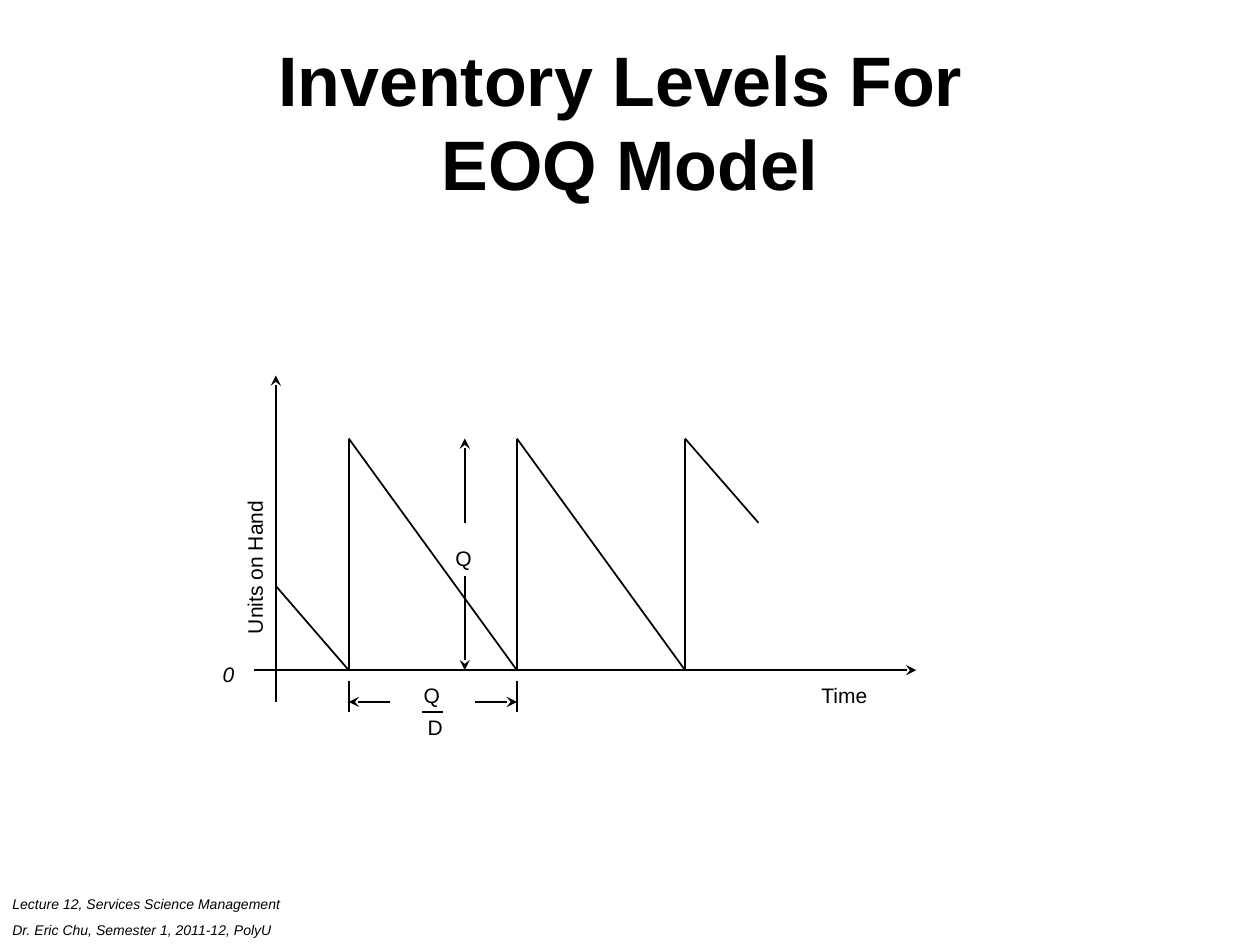
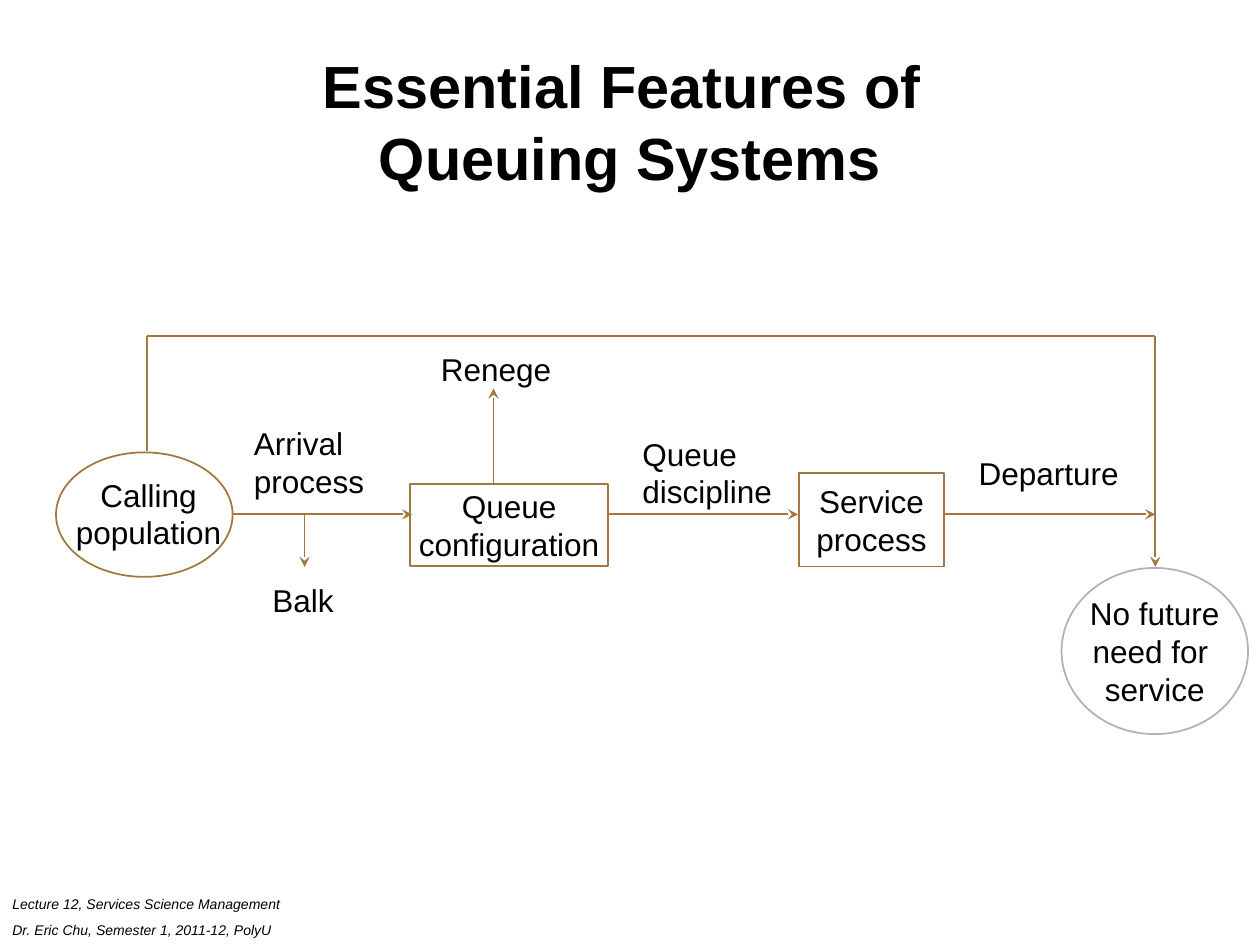
from itertools import pairwise

from lxml.etree import SubElement
from pptx import Presentation
from pptx.dml.color import RGBColor
from pptx.enum.shapes import MSO_CONNECTOR, MSO_SHAPE
from pptx.enum.text import MSO_ANCHOR, MSO_AUTO_SIZE, PP_ALIGN
from pptx.oxml.ns import qn
from pptx.util import Cm, Pt

BLACK = RGBColor(0x00, 0x00, 0x00)
BRONZE = RGBColor(0xA2, 0x78, 0x40)
GREY = RGBColor(0xB2, 0xB2, 0xB2)
FONT = "Arial"

# Shared content; all places and sizes are in cm
FOOTER = ["Lecture 12, Services Science Management",
          "Dr. Eric Chu, Semester 1, 2011-12, PolyU"]
TITLE_BOX = (1.27, 0.84, 22.86, 3.18)
FOOTER_BOX = (0, 17.93, 6.55, 1.12)

# Inventory slide: title lines, scales of the sawtooth, labels
INVENTORY_TITLE = ["Inventory Levels For ", "EOQ Model"]
STOCK_AXIS, TIME_AXIS = 5.56, 13.51
PEAK = 8.84
FIRST_ORDER, CYCLE = 7.03, 3.39
PART_TIME, PART_DROP = 1.48, 1.7
QUANTITY_X = 9.37
SPAN_Y, SPAN_ARROW = 14.15, 0.84
INVENTORY_LABELS = [
    ("Q", 8.93, 10.87, 0.83),
    ("Q", 8.29, 13.64, 0.83),
    ("D", 8.37, 14.27, 0.82),
    ("Time", 16.31, 13.64, 1.45),
]

# Queuing slide: title lines, nodes, labels, flows
QUEUING_TITLE = ["Essential Features of ", "Queuing Systems"]
FLOW_Y, LOOP_Y, EXIT_X, EXIT_Y = 10.37, 6.78, 23.29, 11.43
NODES = [
    (MSO_SHAPE.RECTANGLE, ["Queue", "configuration"], (8.27, 9.76, 3.99, 1.65), BRONZE),
    (MSO_SHAPE.RECTANGLE, ["Service", "process"], (16.11, 9.54, 2.92, 1.88), BRONZE),
    (MSO_SHAPE.OVAL, [], (1.13, 9.12, 3.56, 2.51), BRONZE),
    (MSO_SHAPE.OVAL, ["No future", "need for ", "service"],
     (21.4, 11.45, 3.76, 3.35), GREY),
]
QUEUING_LABELS = [
    (["Departure"], (19.48, 8.89, 3.6, 1.27), PP_ALIGN.LEFT),
    (["Queue", "discipline"], (12.7, 8.89, 3.6, 1.27), PP_ALIGN.LEFT),
    (["Arrival", "process"], (4.87, 8.68, 3.6, 1.27), PP_ALIGN.LEFT),
    (["Renege"], (8.64, 6.92, 2.74, 1.02), PP_ALIGN.LEFT),
    (["Balk"], (5.24, 11.58, 1.75, 1.02), PP_ALIGN.LEFT),
    (["Calling", "population"], (1.27, 9.46, 3.45, 1.78), PP_ALIGN.CENTER),
]
FLOWS = [
    ((4.7, FLOW_Y), (8.31, FLOW_Y)),
    ((6.14, FLOW_Y), (6.14, EXIT_Y)),
    ((12.27, FLOW_Y), (16.09, FLOW_Y)),
    ((9.95, 9.73), (9.95, 7.83)),
    ((19.05, FLOW_Y), (EXIT_X, FLOW_Y)),
]
LOOP = [(2.97, 9.09), (2.97, LOOP_Y), (EXIT_X, LOOP_Y), (EXIT_X, EXIT_Y)]


def in_cm(values):
    return [Cm(value) for value in values]


def style(paragraph, size, align=PP_ALIGN.LEFT, bold=False, italic=False):
    paragraph.alignment = align
    font = paragraph.font
    font.name, font.size = FONT, Pt(size)
    font.bold, font.italic = bold, italic
    font.color.rgb = BLACK


def write(shape, lines, size, align=PP_ALIGN.LEFT, anchor=MSO_ANCHOR.MIDDLE,
          italic=False, wrap=False, gap=0):
    frame = shape.text_frame
    frame.word_wrap = wrap
    frame.vertical_anchor = anchor
    for number, line in enumerate(lines):
        paragraph = frame.add_paragraph() if number else frame.paragraphs[0]
        paragraph.text = line
        style(paragraph, size, align, italic=italic)
        if number and gap:
            paragraph.space_before = Pt(gap)


def add_label(slide, lines, box, size, **options):
    label = slide.shapes.add_textbox(*in_cm(box))
    write(label, lines, size, **options)
    return label


def add_line(slide, start, end, color=BLACK, arrow=False):
    line = slide.shapes.add_connector(MSO_CONNECTOR.STRAIGHT, *in_cm(start + end))
    line.line.color.rgb = color
    line.line.width = Pt(1)
    properties = line.element.spPr
    if arrow:
        SubElement(properties.find(qn("a:ln")), qn("a:tailEnd"), type="stealth")
    SubElement(properties, qn("a:effectLst"))


def add_titled_slide(prs, lines, size):
    slide = prs.slides.add_slide(prs.slide_layouts[5])
    title = slide.shapes.title
    title.left, title.top, title.width, title.height = in_cm(TITLE_BOX)
    title.text_frame.auto_size = MSO_AUTO_SIZE.NONE
    title.text_frame.vertical_anchor = MSO_ANCHOR.MIDDLE
    paragraph = title.text_frame.paragraphs[0]
    for number, line in enumerate(lines):
        if number:
            paragraph.add_line_break()
        paragraph.add_run().text = line
    style(paragraph, size, PP_ALIGN.CENTER, bold=True)
    return slide


def add_footer(slide):
    """Place the footer on the layout, so that every slide shows it."""
    footer = add_label(slide, FOOTER, FOOTER_BOX, 8, anchor=MSO_ANCHOR.TOP,
                       italic=True, wrap=True, gap=5)
    slide.slide_layout.shapes.element.append(footer.element)


def draw_inventory(slide):
    # Axes
    add_line(slide, (STOCK_AXIS, SPAN_Y), (STOCK_AXIS, 7.57), arrow=True)
    add_line(slide, (5.13, TIME_AXIS), (18.47, TIME_AXIS), arrow=True)
    add_label(slide, ["0"], (4.24, 13.21, 0.74, 0.76), 12, italic=True)
    stock = add_label(slide, ["Units on Hand"], (2.59, 10.11, 5.08, 0.76), 12, wrap=True)
    stock.rotation = 270

    # Sawtooth of stock levels
    orders = [FIRST_ORDER + CYCLE * number for number in range(3)]
    levels = [(STOCK_AXIS, TIME_AXIS - PART_DROP)]
    for order in orders:
        levels += [(order, TIME_AXIS), (order, PEAK)]
    levels.append((orders[-1] + PART_TIME, PEAK + PART_DROP))
    for start, end in pairwise(levels):
        add_line(slide, start, end)

    # Order quantity arrows
    for start, end in ((10.54, PEAK), (11.61, TIME_AXIS)):
        add_line(slide, (QUANTITY_X, start), (QUANTITY_X, end), arrow=True)

    # Cycle length: end marks, outward arrows, fraction bar
    for order, inward in zip(orders, (SPAN_ARROW, -SPAN_ARROW)):
        add_line(slide, (order, 13.72), (order, 14.35))
        add_line(slide, (order + inward, SPAN_Y), (order, SPAN_Y), arrow=True)
    add_line(slide, (8.51, 14.35), (8.94, 14.35))

    for text, left, top, width in INVENTORY_LABELS:
        add_label(slide, [text], (left, top, width, 0.76), 12)


def draw_queuing(slide):
    for kind, lines, box, color in NODES:
        node = slide.shapes.add_shape(kind, *in_cm(box))
        node.shadow.inherit = False
        node.fill.background()
        node.line.color.rgb = color
        node.line.width = Pt(1)
        write(node, lines, 18, PP_ALIGN.CENTER)
    for lines, box, align in QUEUING_LABELS:
        add_label(slide, lines, box, 18, align=align)
    for start, end in FLOWS:
        add_line(slide, start, end, BRONZE, arrow=True)
    for start, end in pairwise(LOOP):
        add_line(slide, start, end, BRONZE, arrow=end == LOOP[-1])


def main():
    prs = Presentation()
    prs.slide_width, prs.slide_height = Cm(25.4), Cm(19.05)
    inventory = add_titled_slide(prs, INVENTORY_TITLE, 40)
    add_footer(inventory)
    draw_inventory(inventory)
    draw_queuing(add_titled_slide(prs, QUEUING_TITLE, 34))
    prs.save("out.pptx")


if __name__ == "__main__":
    main()
